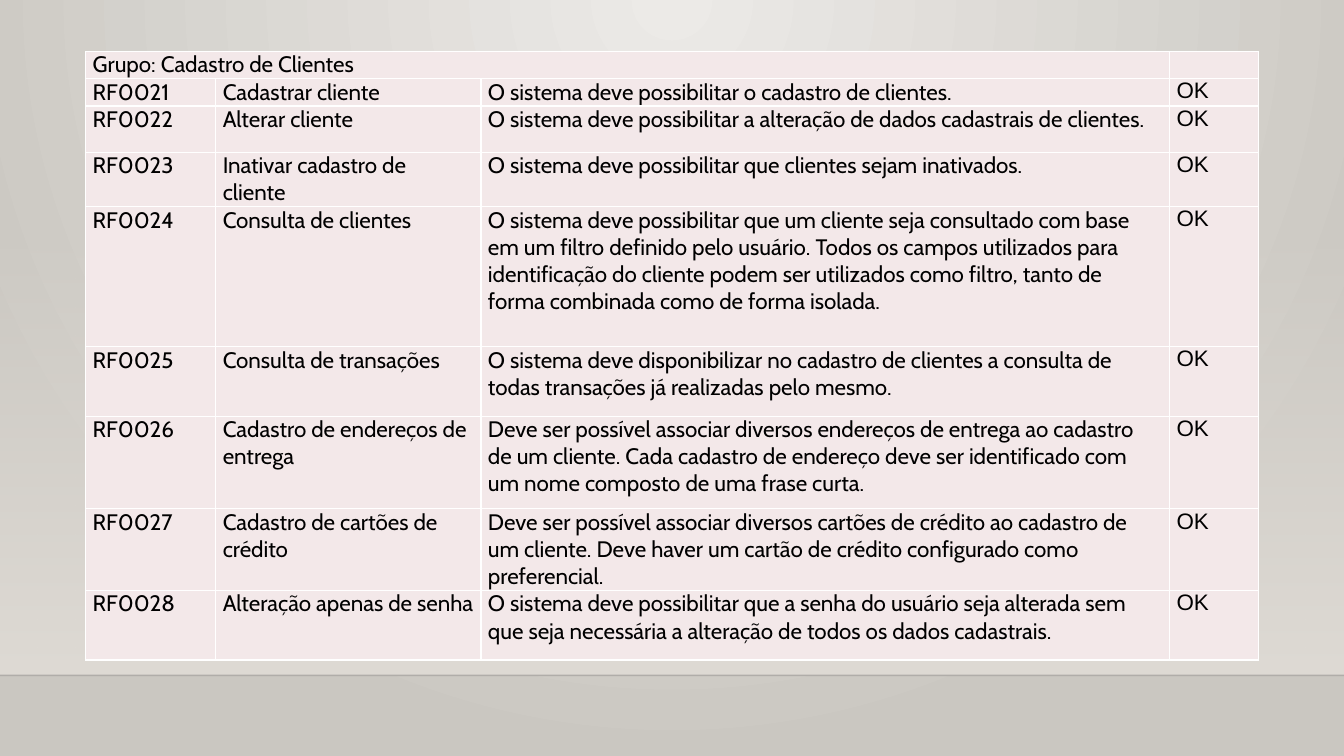
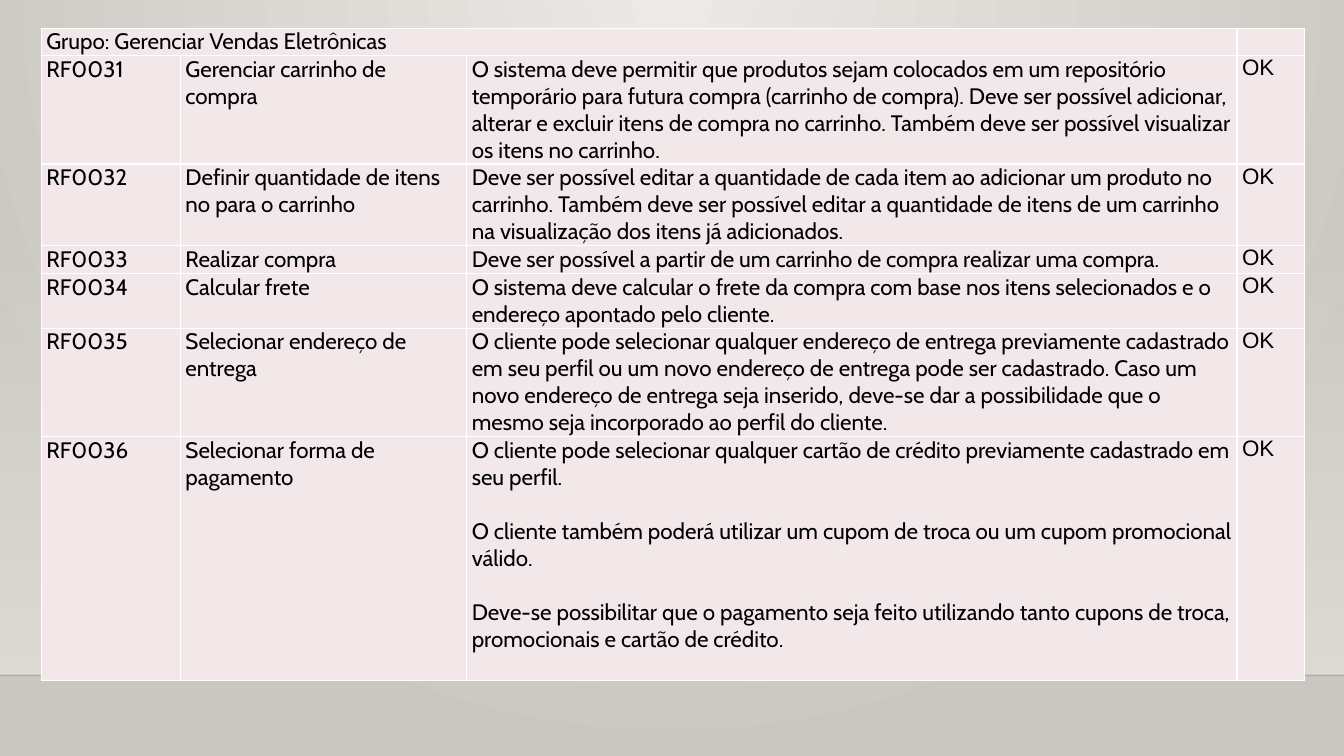
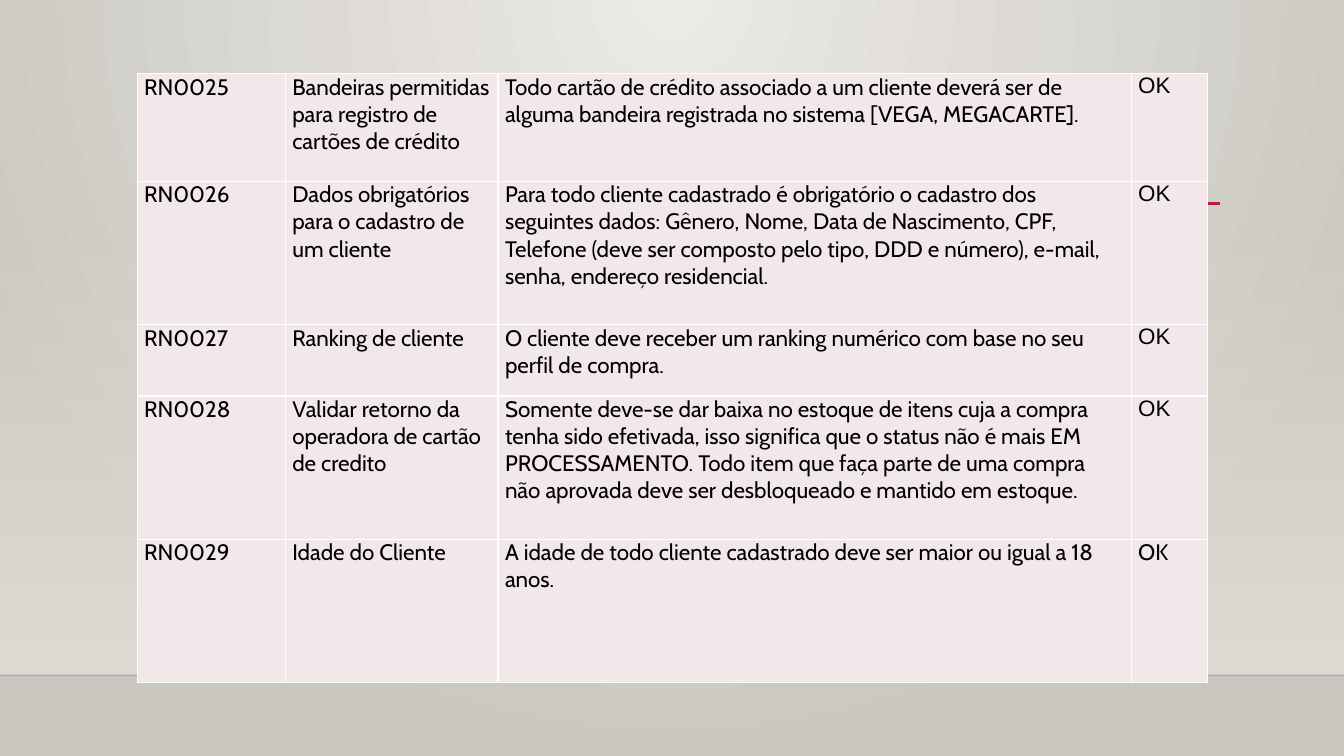
from dataclasses import dataclass

import lxml.etree
import pptx
import pptx.dml.color
import pptx.enum.shapes
import pptx.oxml
import pptx.oxml.ns
import pptx.util

Inches = pptx.util.Inches
Pt = pptx.util.Pt
qn = pptx.oxml.ns.qn

SLIDE_W, SLIDE_H = 13.33, 7.5
FLOOR_Y = 6.7
TEXT_FONT, STATUS_FONT = "Cabin", "Arial"
TEXT_SIZE = 16
BLACK, WHITE, RED = "000000", "FFFFFF", "B71E42"
CELL_FILL = "F3E8E9"
GLOW, EDGE, WALL = "ECEAE7", "CAC7C1", "DFDBD5"


@dataclass
class Requirement:
    """One table row: code, name, description paragraphs and status."""
    height: float
    code: str
    name: str
    description: str
    status: str = "OK"
    status_font: str = STATUS_FONT


@dataclass
class RequirementTable:
    """A table of requirements, with an optional group heading."""
    left: float
    top: float
    columns: list[float]
    inset: float
    rows: list[Requirement]
    group: str = ""
    group_height: float = 0.27


@dataclass
class Rule:
    """A horizontal line."""
    left: float
    right: float
    y: float
    color: str
    width: float
    opacity: int = 100


RULES = [
    Rule(0, SLIDE_W, FLOOR_Y, "000001", 1, 20),
    Rule(1.59, 12.1, 2.02, RED, 2.5),
]

CUSTOMERS = RequirementTable(
    0.85, 0.51, [1.29, 2.63, 6.83, 0.88], 0.07, group="Grupo: Cadastro de Clientes", rows=[
        Requirement(0.27, "RF0021", "Cadastrar cliente",
                    "O sistema deve possibilitar o cadastro de clientes."),
        Requirement(0.46, "RF0022", "Alterar cliente",
                    "O sistema deve possibilitar a alteração de dados cadastrais de clientes."),
        Requirement(0.46, "RF0023", "Inativar cadastro de cliente",
                    "O sistema deve possibilitar que clientes sejam inativados."),
        Requirement(1.39, "RF0024", "Consulta de clientes",
                    "O sistema deve possibilitar que um cliente seja consultado com base em um "
                    "filtro definido pelo usuário. Todos os campos utilizados para identificação "
                    "do cliente podem ser utilizados como filtro, tanto de forma combinada como "
                    "de forma isolada."),
        Requirement(0.69, "RF0025", "Consulta de transações",
                    "O sistema deve disponibilizar no cadastro de clientes a consulta de todas "
                    "transações já realizadas pelo mesmo."),
        Requirement(0.92, "RF0026", "Cadastro de endereços de entrega",
                    "Deve ser possível associar diversos endereços de entrega ao cadastro de um "
                    "cliente. Cada cadastro de endereço deve ser identificado com um nome "
                    "composto de uma frase curta."),
        Requirement(0.81, "RF0027", "Cadastro de cartões de crédito",
                    "Deve ser possível associar diversos cartões de crédito ao cadastro de um "
                    "cliente. Deve haver um cartão de crédito configurado como preferencial."),
        Requirement(0.69, "RF0028", "Alteração apenas de senha",
                    "O sistema deve possibilitar que a senha do usuário seja alterada sem que "
                    "seja necessária a alteração de todos os dados cadastrais."),
    ])

SALES = RequirementTable(
    0.41, 0.28, [1.38, 2.84, 7.64, 0.67], 0.05, group="Grupo: Gerenciar Vendas Eletrônicas", rows=[
        Requirement(1.07, "RF0031", "Gerenciar carrinho de compra",
                    "O sistema deve permitir que produtos sejam colocados em um repositório "
                    "temporário para futura compra (carrinho de compra). Deve ser possível "
                    "adicionar, alterar e excluir itens de compra no carrinho. Também deve ser "
                    "possível visualizar os itens no carrinho."),
        Requirement(0.81, "RF0032", "Definir quantidade de itens no para o carrinho",
                    "Deve ser possível editar a quantidade de cada item ao adicionar um produto "
                    "no carrinho. Também deve ser possível editar a quantidade de itens de um "
                    "carrinho na visualização dos itens já adicionados."),
        Requirement(0.28, "RF0033", "Realizar compra",
                    "Deve ser possível a partir de um carrinho de compra realizar uma compra."),
        Requirement(0.54, "RF0034", "Calcular frete",
                    "O sistema deve calcular o frete da compra com base nos itens selecionados "
                    "e o endereço apontado pelo cliente."),
        Requirement(1.07, "RF0035", "Selecionar endereço de entrega",
                    "O cliente pode selecionar qualquer endereço de entrega previamente "
                    "cadastrado em seu perfil ou um novo endereço de entrega pode ser cadastrado. "
                    "Caso um novo endereço de entrega seja inserido, deve-se dar a possibilidade "
                    "que o mesmo seja incorporado ao perfil do cliente."),
        Requirement(2.42, "RF0036", "Selecionar forma de pagamento",
                    "O cliente pode selecionar qualquer cartão de crédito previamente cadastrado "
                    "em seu perfil.\n"
                    "O cliente também poderá utilizar um cupom de troca ou um cupom promocional "
                    "válido.\n"
                    "Deve-se possibilitar que o pagamento seja feito utilizando tanto cupons de "
                    "troca, promocionais e cartão de crédito."),
    ])

RULES_OF_BUSINESS = RequirementTable(
    1.36, 0.73, [1.47, 2.11, 6.28, 0.76], 0.07, rows=[
        Requirement(1.07, "RN0025", "Bandeiras permitidas para registro de cartões de crédito",
                    "Todo cartão de crédito associado a um cliente deverá ser de alguma bandeira "
                    "registrada no sistema [VEGA, MEGACARTE]."),
        Requirement(1.42, "RN0026", "Dados obrigatórios para o cadastro de um cliente",
                    "Para todo cliente cadastrado é obrigatório o cadastro dos seguintes dados: "
                    "Gênero, Nome, Data de Nascimento, CPF, Telefone (deve ser composto pelo "
                    "tipo, DDD e número), e-mail, senha, endereço residencial."),
        Requirement(0.71, "RN0027", "Ranking de cliente",
                    "O cliente deve receber um ranking numérico com base no seu perfil de compra."),
        Requirement(1.42, "RN0028", "Validar retorno da operadora de cartão de credito",
                    "Somente deve-se dar baixa no estoque de itens cuja a compra tenha sido "
                    "efetivada, isso significa que o status não é mais EM PROCESSAMENTO. Todo "
                    "item que faça parte de uma compra não aprovada deve ser desbloqueado e "
                    "mantido em estoque."),
        Requirement(1.42, "RN0029", "Idade do Cliente",
                    "A idade de todo cliente cadastrado deve ser maior ou igual a 18 anos.",
                    status_font=TEXT_FONT),
    ])


def rgb(color: str) -> pptx.dml.color.RGBColor:
    """Turn a hex string into a colour."""
    return pptx.dml.color.RGBColor.from_string(color)


def set_opacity(element, percent: int) -> None:
    """Set the opacity of the first colour inside an element."""
    color = element.find(".//" + qn("a:srgbClr"))
    lxml.etree.SubElement(color, qn("a:alpha"), val=str(percent * 1000))


def set_gradient(fill, first: str, last: str) -> None:
    """Give a fill a gradient between two colours."""
    fill.gradient()
    for stop, position, color in zip(fill.gradient_stops, (0, 1), (first, last)):
        stop.position = position
        stop.color.rgb = rgb(color)


def set_background(master) -> None:
    """Paint the round glow behind every slide."""
    set_gradient(master.background.fill, GLOW, EDGE)
    grad = master.element.find(".//" + qn("p:bg")).find(".//" + qn("a:gradFill"))
    grad.remove(grad.find(qn("a:lin")))
    glow = lxml.etree.SubElement(grad, qn("a:path"), {"path": "circle"})
    lxml.etree.SubElement(glow, qn("a:fillToRect"), l="43000", t="0", r="43000", b="100000")


def add_wall(slide):
    """Add the band that fades in down to the floor line."""
    sp = slide.shapes.add_shape(pptx.enum.shapes.MSO_SHAPE.RECTANGLE, 0, Inches(2.21),
                                Inches(SLIDE_W), Inches(FLOOR_Y - 2.21))
    sp.shadow.inherit = False
    set_gradient(sp.fill, WALL, WALL)
    sp.fill.gradient_angle = 270
    set_opacity(sp.element.find(".//" + qn("a:gs")), 0)
    sp.line.fill.background()
    return sp


def add_rule(slide, rule: Rule):
    """Add a horizontal line without a shadow."""
    line = slide.shapes.add_connector(pptx.enum.shapes.MSO_CONNECTOR.STRAIGHT,
                                      Inches(rule.left), Inches(rule.y),
                                      Inches(rule.right), Inches(rule.y))
    line.line.color.rgb = rgb(rule.color)
    line.line.width = Pt(rule.width)
    properties = line.element.spPr
    if rule.opacity < 100:
        set_opacity(properties, rule.opacity)
    lxml.etree.SubElement(properties, qn("a:effectLst"))
    return line


def decorate_master(master, slide) -> None:
    """Draw the shared decoration and move it to the master."""
    set_background(master)
    decoration = [add_wall(slide)] + [add_rule(slide, rule) for rule in RULES]
    for number, sp in enumerate(decoration, start=101):
        sp.element.find(".//" + qn("p:cNvPr")).set("id", str(number))
        master.shapes.element.append(sp.element)


def set_borders(cell) -> None:
    """Draw a white border on the four sides of a cell."""
    properties = cell._tc.get_or_add_tcPr()
    for index, side in enumerate(("a:lnL", "a:lnR", "a:lnT", "a:lnB")):
        ln = lxml.etree.Element(qn(side), w=str(Pt(1)))
        solid = lxml.etree.SubElement(ln, qn("a:solidFill"))
        lxml.etree.SubElement(solid, qn("a:srgbClr"), val=WHITE)
        properties.insert(index, ln)


def fill_cell(cell, text: str, font: str, inset: float) -> None:
    """Format a cell and write its paragraphs."""
    cell.margin_left = cell.margin_right = Inches(inset)
    cell.margin_top = cell.margin_bottom = 0
    cell.fill.solid()
    cell.fill.fore_color.rgb = rgb(CELL_FILL)
    set_borders(cell)
    tf = cell.text_frame
    lines = text.split("\n")
    for index, line in enumerate(lines):
        p = tf.add_paragraph() if index else tf.paragraphs[0]
        if not line:
            lxml.etree.SubElement(p._p, qn("a:endParaRPr"), sz=str(TEXT_SIZE * 100))
            continue
        if index < len(lines) - 1:
            p.space_after = Pt(19.4)
        r = p.add_run()
        r.text = line
        r.font.name = font
        r.font.size = Pt(TEXT_SIZE)
        r.font.color.rgb = rgb(BLACK)


def add_requirements(slide, content: RequirementTable) -> None:
    """Add a table of requirements to a slide."""
    rows = list(content.rows)
    if content.group:
        rows.insert(0, Requirement(content.group_height, content.group, "", "", ""))
    frame = slide.shapes.add_table(len(rows), len(content.columns),
                                   Inches(content.left), Inches(content.top),
                                   Inches(sum(content.columns)),
                                   Inches(sum(row.height for row in rows)))
    table = frame.table
    table.first_row = table.horz_banding = False
    for column, width in zip(table.columns, content.columns):
        column.width = Inches(width)
    for index, row in enumerate(rows):
        table.rows[index].height = Inches(row.height)
        texts = (row.code, row.name, row.description, row.status)
        fonts = (TEXT_FONT, TEXT_FONT, TEXT_FONT, row.status_font)
        for cell, text, font in zip(table.rows[index].cells, texts, fonts):
            fill_cell(cell, text, font, content.inset)
    if content.group:
        table.cell(0, 0).merge(table.cell(0, 2))


def main() -> None:
    """Build and save the presentation."""
    prs = pptx.Presentation()
    prs.slide_width, prs.slide_height = Inches(SLIDE_W), Inches(SLIDE_H)
    blank = prs.slide_layouts[6]
    for content in (CUSTOMERS, SALES, RULES_OF_BUSINESS):
        add_requirements(prs.slides.add_slide(blank), content)
    decorate_master(prs.slide_master, prs.slides[0])
    prs.save("out.pptx")


main()
